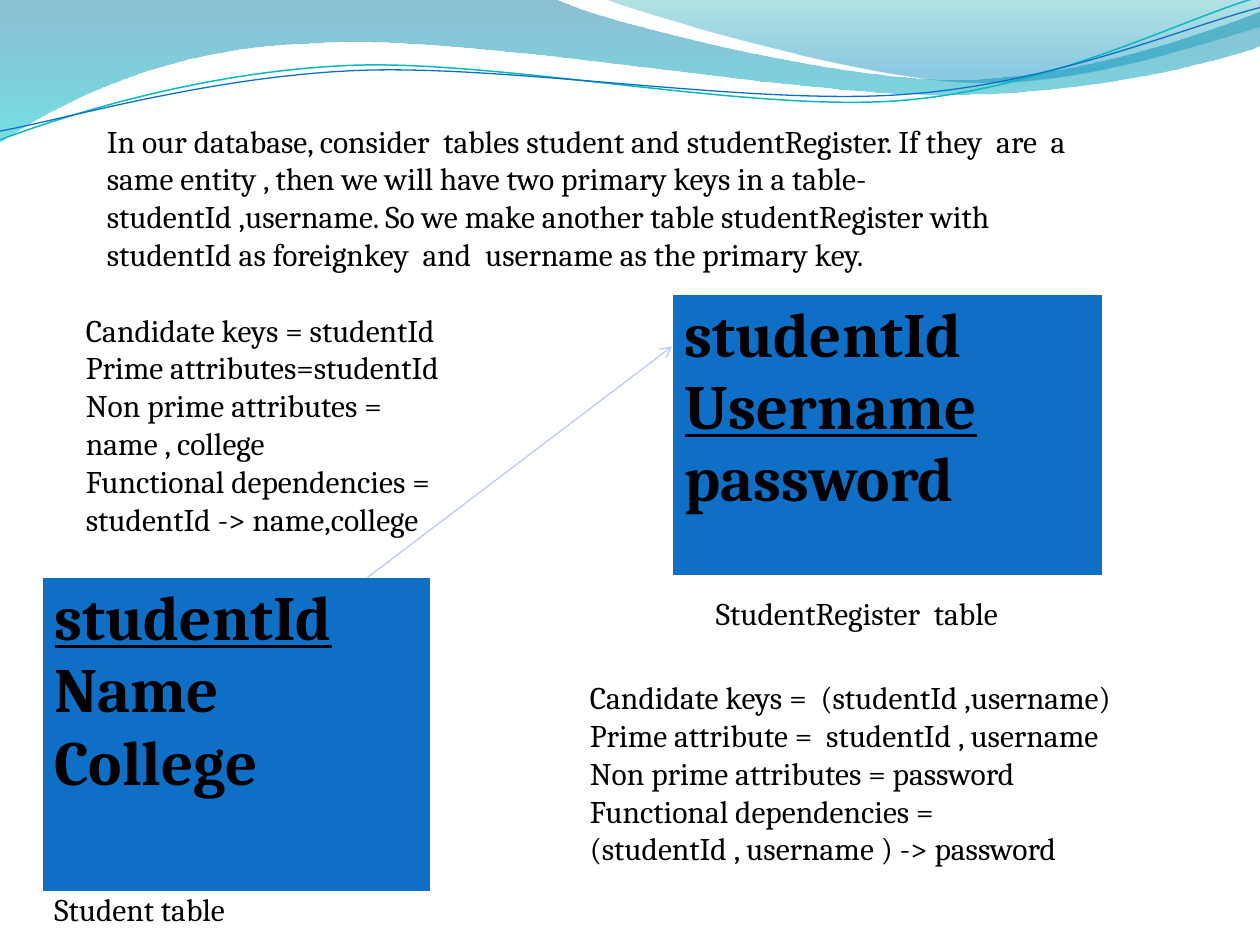
from dataclasses import dataclass
from itertools import pairwise

from lxml import etree
from pptx import Presentation
from pptx.dml.color import RGBColor
from pptx.enum.shapes import MSO_CONNECTOR
from pptx.enum.text import MSO_AUTO_SIZE
from pptx.oxml.ns import qn
from pptx.util import Inches, Length, Pt

STRAIGHT = MSO_CONNECTOR.STRAIGHT
FIT_SHAPE = MSO_AUTO_SIZE.SHAPE_TO_FIT_TEXT
GRID_PER_INCH = 12


@dataclass(frozen=True)
class Theme:
    font: str = "Cambria"
    body_size: int = 18
    table_size: int = 36
    text: str = "000000"
    blue: str = "0F6FC6"
    teal: str = "0AB8BF"
    arrow: str = "BBCBF2"
    border: str = "FFFFFF"


@dataclass(frozen=True)
class Stop:
    position: float
    color: str
    opacity: int


@dataclass(frozen=True)
class Wave:
    """A start point in inches, then Bezier segments (six numbers) or straight ones (two)."""
    start: tuple
    segments: tuple
    stops: tuple = ()
    line_color: str = ""
    line_width: float = 0


@dataclass(frozen=True)
class Note:
    """Lines of text in a box given in grid units."""
    box: tuple
    lines: tuple


@dataclass(frozen=True)
class EntityTable:
    """Fields of an entity in a box given in grid units."""
    box: tuple
    fields: tuple
    key: str


THEME = Theme()

WAVES = (
    Wave((0, 0), ((4.4, -0.01), (4.76, 0.17, 6.64, 0.63, 7.58, 0.63),
                  (8.53, 0.63, 9.58, 0.26, 10, 0.09), (10.01, 0.36),
                  (9.83, 0.44, 8.7, 0.76, 7.46, 0.75),
                  (6.22, 0.75, 3.82, 0.28, 2.57, 0.34),
                  (1.29, 0.36, 0.46, 0.83, -0.01, 1.13)),
         stops=(Stop(0, "0074A1", 45), Stop(1, "00C6CF", 55))),
    Wave((4.79, -0.01), ((5.09, 0.11, 6.82, 0.62, 7.69, 0.65),
                         (8.56, 0.69, 9.61, 0.32, 10, 0.21), (10, 0)),
         stops=(Stop(0, "00A1A9", 30), Stop(0.8, "008BBF", 45))),
    Wave((0, 1.11), ((0.48, 0.93, 1.58, 0.57, 2.77, 0.52),
                     (3.95, 0.47, 5.93, 0.89, 7.13, 0.8),
                     (8.33, 0.71, 9.38, 0.15, 9.98, -0.02)),
         line_color=THEME.teal, line_width=0.85),
    Wave((0, 1.04), ((0.47, 0.96, 1.64, 0.61, 2.83, 0.56),
                     (4.03, 0.51, 5.97, 0.84, 7.17, 0.75),
                     (8.36, 0.67, 9.41, 0.21, 10, 0.06)),
         line_color=THEME.blue, line_width=0.75),
)

TABLES = (
    EntityTable((4, 55, 37, 30.1), ("studentId", "Name", "College"), "studentId"),
    EntityTable((64, 28, 41, 27), ("studentId", "Username", "password"), "Username"),
)

NOTES = (
    Note((4, 84.15, 31, 4.85), ("Student table",)),
    Note((67, 56, 31, 4.85), ("StudentRegister  table",)),
    Note((7, 29, 39, 26.6), (
        "Candidate keys = studentId", "Prime attributes=studentId",
        "Non prime attributes = name , college",
        "Functional dependencies =", "studentId -> name,college")),
    Note((55, 64, 55, 19.4), (
        "Candidate keys =  (studentId ,username)",
        "Prime attribute =  studentId , username",
        "Non prime attributes = password",
        "Functional dependencies =", "(studentId , username ) -> password")),
)

INTRODUCTION = Note((9, 11, 97, 15.75), (
    "In our database, consider  tables student and studentRegister. If they  are  a "
    "same entity , then we will have two primary keys in a table- studentId ,username. "
    "So we make another table studentRegister with studentId as foreignkey  and  "
    "username as the primary key.",))


def rgb(color: str) -> RGBColor:
    return RGBColor.from_string(color)


def grid(units: float) -> Length:
    return Inches(units / GRID_PER_INCH)


def bend_segments(shape, segments: tuple) -> None:
    """Turn each run of three straight steps into the Bezier curve it controls."""
    steps = iter(list(shape.element.spPr.iter(qn("a:lnTo"))))
    for segment in segments:
        step = next(steps)
        if len(segment) == 2:
            continue
        curve = etree.Element(qn("a:cubicBezTo"))
        step.addprevious(curve)
        for control in (step, next(steps), next(steps)):
            curve.append(control[0])
            control.getparent().remove(control)


def add_wave(slide, wave: Wave) -> None:
    points = [(Inches(x), Inches(y)) for segment in wave.segments
              for x, y in zip(segment[::2], segment[1::2])]
    builder = slide.shapes.build_freeform(*map(Inches, wave.start))
    builder.add_line_segments(points, close=bool(wave.stops))
    shape = builder.convert_to_shape()
    bend_segments(shape, wave.segments)
    shape.shadow.inherit = False
    if not wave.stops:
        shape.fill.background()
        shape.line.color.rgb = rgb(wave.line_color)
        shape.line.width = Pt(wave.line_width)
        return
    shape.line.fill.background()
    shape.fill.gradient()
    shape.fill.gradient_angle = 270
    for gradient_stop, stop in zip(shape.fill.gradient_stops, wave.stops):
        gradient_stop.position = stop.position
        gradient_stop.color.rgb = rgb(stop.color)
    for color, stop in zip(shape.element.spPr.iter(qn("a:srgbClr")), wave.stops):
        etree.SubElement(color, qn("a:alpha"), val=str(stop.opacity * 1000))


def write_line(paragraph, text: str, *, size: int, bold: bool = False,
               underline: bool = False) -> None:
    run = paragraph.add_run()
    run.text = text
    run.font.name = THEME.font
    run.font.size = Pt(size)
    run.font.bold = bold
    run.font.underline = underline
    run.font.color.rgb = rgb(THEME.text)


def write_lines(frame, lines: tuple, *, key: str = "", **text_format) -> None:
    """Write one paragraph per line and underline the key."""
    for _ in pairwise(lines):
        frame.add_paragraph()
    for paragraph, text in zip(frame.paragraphs, lines):
        write_line(paragraph, text, underline=text == key, **text_format)


def add_note(slide, note: Note) -> None:
    frame = slide.shapes.add_textbox(*map(grid, note.box)).text_frame
    frame.word_wrap = True
    frame.auto_size = FIT_SHAPE
    write_lines(frame, note.lines, size=THEME.body_size)


def add_entity_table(slide, entity: EntityTable) -> None:
    cell = slide.shapes.add_table(1, 1, *map(grid, entity.box)).table.cell(0, 0)
    properties = cell._tc.get_or_add_tcPr()
    for side, width in (("L", 1), ("R", 1), ("T", 1), ("B", 3)):
        border = etree.SubElement(properties, qn(f"a:ln{side}"), w=str(Pt(width)))
        fill = etree.SubElement(border, qn("a:solidFill"))
        etree.SubElement(fill, qn("a:srgbClr"), val=THEME.border)
    cell.fill.solid()
    cell.fill.fore_color.rgb = rgb(THEME.blue)
    write_lines(cell.text_frame, entity.fields, key=entity.key,
                size=THEME.table_size, bold=True)


def add_arrow(slide, start: tuple, end: tuple) -> None:
    arrow = slide.shapes.add_connector(STRAIGHT, *map(grid, start + end))
    arrow.line.color.rgb = rgb(THEME.arrow)
    arrow.line.width = Pt(0.75)
    etree.SubElement(arrow.line._get_or_add_ln(), qn("a:tailEnd"), type="arrow")
    etree.SubElement(arrow.element.spPr, qn("a:effectLst"))


def main() -> None:
    presentation = Presentation()
    presentation.slide_width, presentation.slide_height = Inches(10), Inches(7.5)
    slide = presentation.slides.add_slide(presentation.slide_layouts[6])
    for wave in WAVES:
        add_wave(slide, wave)
    add_note(slide, INTRODUCTION)
    for entity in TABLES:
        add_entity_table(slide, entity)
    add_arrow(slide, (35, 55), (64, 33))
    for note in NOTES:
        add_note(slide, note)
    presentation.save("out.pptx")


if __name__ == "__main__":
    main()
